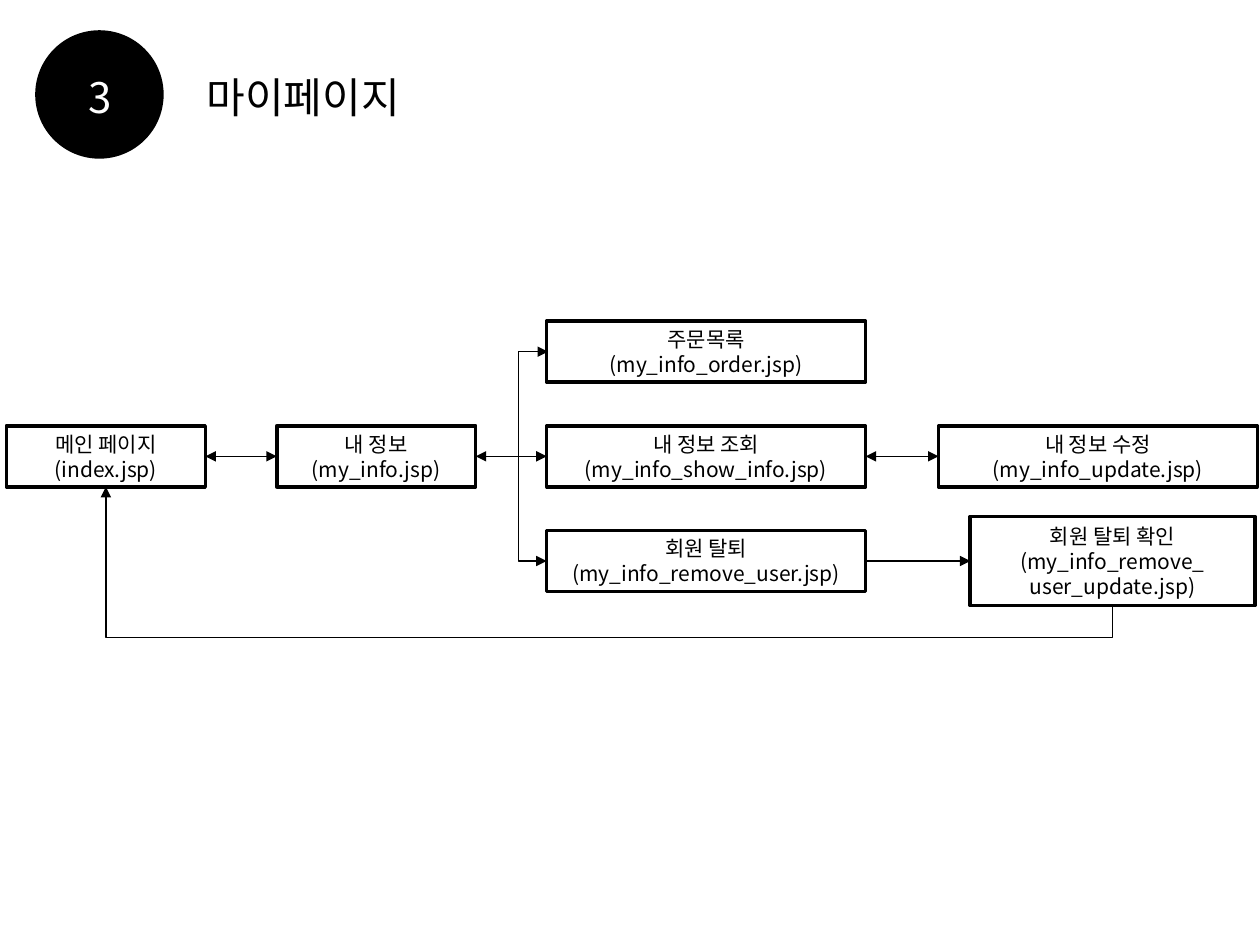
from lxml.etree import SubElement
from pptx import Presentation
from pptx.dml.color import RGBColor
from pptx.enum.shapes import MSO_CONNECTOR, MSO_SHAPE
from pptx.enum.text import MSO_ANCHOR, MSO_AUTO_SIZE, PP_ALIGN
from pptx.oxml.ns import qn
from pptx.util import Cm, Pt

# Content
FONT = "Noto Sans CJK KR"
COLORS = {"ink": "000000", "paper": "FFFFFF"}
SECTION_NUMBER, SECTION_TITLE = "3", "마이페이지"

# Page: column left, width, row, height (cm), lines
ROW_MIDDLE, ROW_STEP = 9.2, 2.11
PAGES = {
    "main": (0.13, 4.01, 0, 1.23, ["메인 페이지", "(index.jsp)"]),
    "info": (5.58, 4.01, 0, 1.23, ["내 정보", "(my_info.jsp)"]),
    "remove": (11.02, 6.43, 1, 1.23, ["회원 탈퇴", "(my_info_remove_user.jsp)"]),
    "show": (11.02, 6.43, 0, 1.23, ["내 정보 조회", "(my_info_show_info.jsp)"]),
    "order": (11.02, 6.43, -1, 1.23, ["주문목록", "(my_info_order.jsp)"]),
    "update": (18.92, 6.43, 0, 1.23, ["내 정보 수정", "(my_info_update.jsp)"]),
    "confirm": (19.56, 5.74, 1, 1.8,
                ["회원 탈퇴 확인", "(my_info_remove_", "user_update.jsp)"]),
}
# From, to, goes both ways
LINKS = [("main", "info", True), ("info", "show", True),
         ("show", "update", True), ("remove", "confirm", False)]
LEFT_SITE, RIGHT_SITE = 1, 3


def color(name):
    return RGBColor.from_string(COLORS[name])


def write(frame, lines, size, ink="ink"):
    frame.word_wrap = True
    frame.auto_size = MSO_AUTO_SIZE.NONE
    frame.vertical_anchor = MSO_ANCHOR.MIDDLE
    for index, line in enumerate(lines):
        paragraph = frame.paragraphs[0] if index == 0 else frame.add_paragraph()
        paragraph.alignment = PP_ALIGN.CENTER
        run = paragraph.add_run()
        run.text = line
        run.font.size = Pt(size)
        run.font.name = FONT
        run.font.color.rgb = color(ink)
        SubElement(run.font._element, qn("a:ea"), typeface=FONT)


def add_arrow(kind, start, end, both_ways, bend=None):
    arrow = slide.shapes.add_connector(kind, *start, *end)
    arrow.line.color.rgb = color("ink")
    arrow.line.width = Pt(0.75)
    line = arrow.line._get_or_add_ln()
    if both_ways:
        SubElement(line, qn("a:headEnd"), type="triangle")
    SubElement(line, qn("a:tailEnd"), type="triangle")
    properties = arrow._element.spPr
    SubElement(properties, qn("a:effectLst"))
    if bend is not None:
        guides = properties.find(qn("a:prstGeom")).find(qn("a:avLst"))
        SubElement(guides, qn("a:gd"), name="adj1", fmla=f"val {round(bend * 100000)}")
    return arrow


presentation = Presentation()
presentation.slide_width, presentation.slide_height = Cm(25.4), Cm(19.05)
slide = presentation.slides.add_slide(presentation.slide_layouts[5])

# Heading
circle = slide.shapes.add_shape(MSO_SHAPE.OVAL, Cm(0.71), Cm(0.61), Cm(2.59), Cm(2.59))
circle.shadow.inherit = False
circle.fill.solid()
circle.fill.fore_color.rgb = color("ink")
circle.line.fill.background()
number = slide.shapes.add_textbox(Cm(0.51), Cm(1.32), Cm(3), Cm(1.27))
write(number.text_frame, [SECTION_NUMBER], 24, "paper")
title = slide.shapes.title
title.left, title.top, title.width, title.height = Cm(2.92), Cm(1.32), Cm(6.38), Cm(1.27)
write(title.text_frame, [SECTION_TITLE], 24)

# Pages
boxes = {}
for page, (left, width, row, height, lines) in PAGES.items():
    top = ROW_MIDDLE + row * ROW_STEP - height / 2
    box = slide.shapes.add_shape(MSO_SHAPE.RECTANGLE, Cm(left), Cm(top), Cm(width), Cm(height))
    box.shadow.inherit = False
    box.fill.solid()
    box.fill.fore_color.rgb = color("paper")
    box.line.color.rgb = color("ink")
    box.line.width = Pt(2)
    write(box.text_frame, lines, 12)
    boxes[page] = box

# Straight links
for source, target, both_ways in LINKS:
    arrow = add_arrow(MSO_CONNECTOR.STRAIGHT, (0, 0), (0, 0), both_ways)
    arrow.begin_connect(boxes[source], RIGHT_SITE)
    arrow.end_connect(boxes[target], LEFT_SITE)

# Bracket joining the order and removal pages, bent out to the left
order, remove = boxes["order"], boxes["remove"]
overlap, reach = Cm(0.03), Cm(0.6)
add_arrow(MSO_CONNECTOR.ELBOW,
          (order.left + overlap, order.top + order.height // 2),
          (remove.left, remove.top + remove.height // 2), True, reach / overlap)

# Return path from the confirmation to the main page: a quarter-turned elbow
main, confirm = boxes["main"], boxes["confirm"]
start_x, start_y = confirm.left + confirm.width // 2, confirm.top + confirm.height
end_x, end_y = main.left + main.width // 2, main.top + main.height
middle_x, middle_y = (start_x + end_x) // 2, (start_y + end_y) // 2
half_drop, half_run = (start_y - end_y) // 2, (start_x - end_x) // 2
back = add_arrow(MSO_CONNECTOR.ELBOW,
                 (middle_x + half_drop, middle_y - half_run),
                 (middle_x - half_drop, middle_y + half_run),
                 False, -Cm(0.64) / (2 * half_drop))
back._element.spPr.find(qn("a:xfrm")).set("rot", "5400000")

presentation.save("out.pptx")
